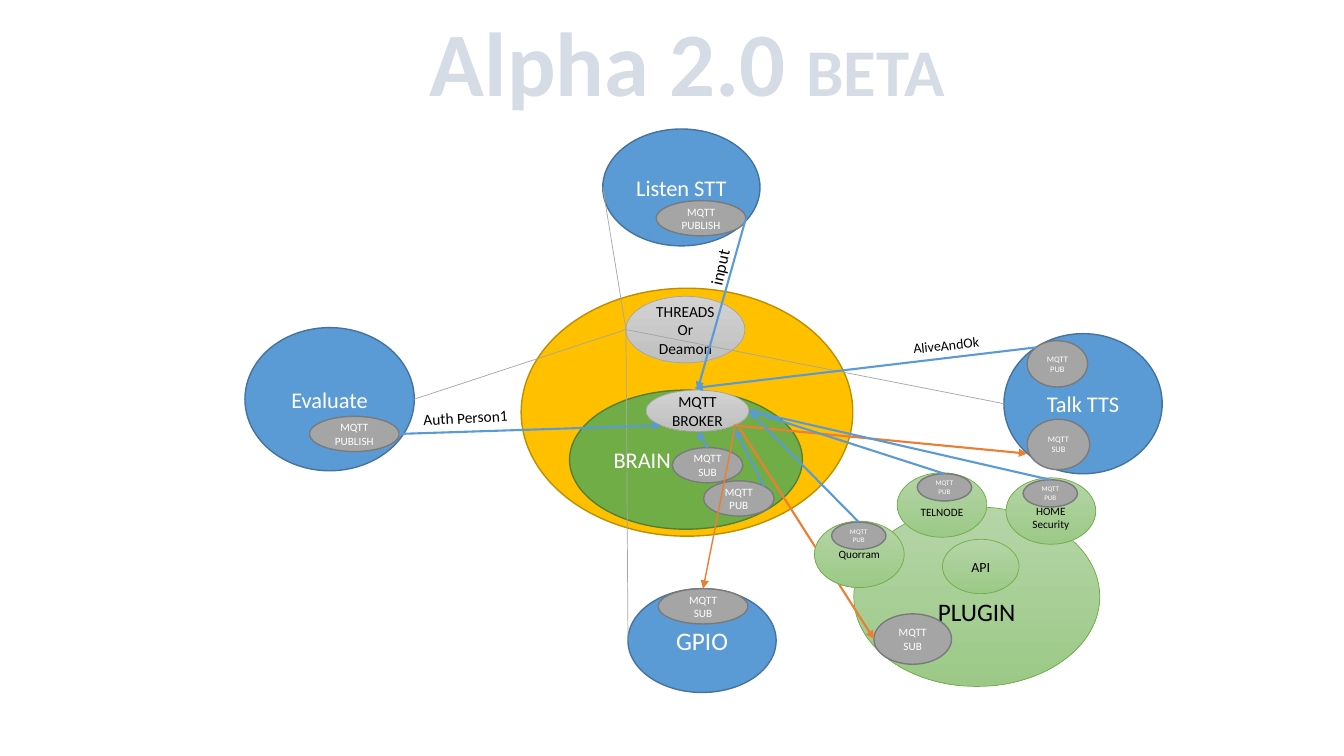
from dataclasses import dataclass

from lxml import etree
from pptx import Presentation
from pptx import util as u
from pptx.dml.color import RGBColor
from pptx.enum import shapes, text
from pptx.oxml import ns

CELL = 0.1  # grid cell in inches: 133.3 columns by 75 rows


@dataclass(frozen=True)
class Theme:
    font: str = "Calibri"
    title: str = "D6DCE5"
    dark: str = "000000"
    light: str = "FFFFFF"
    blue: str = "5B9BD5"
    grey: str = "A5A5A5"
    orange: str = "ED7D31"
    huge: float = 64.8
    large: float = 47.7
    big: int = 18
    head: int = 16
    label: int = 12
    body: int = 11
    note: int = 10
    small: int = 8
    mini: int = 6
    tiny: int = 5


T = Theme()

# Style: fill (a pair is a gradient), line colour, line width, text colour
STYLE = {
    "core": ("FFC000", "BD8E00", 1, T.light),
    "unit": (T.blue, "43739E", 1, T.light),
    "brain": ("70AD47", "538035", 1, T.light),
    "hub": (("D2D2D2", "C0C0C0"), T.grey, 0.5, T.dark),
    "plug": (("B5D5A7", "9CC987"), "70AD47", 0.5, T.dark),
    "badge": (T.grey, "7A7A7A", 1, T.light),
}

# Node: style, box in grid cells, words, type size
BODIES = {
    "core": ("core", (51.7, 28.6, 32.9, 24.6), "", T.head),
    "listen": ("unit", (59.8, 12.8, 15.6, 11.6), "Listen STT", T.head),
    "talk": ("unit", (99.6, 33.1, 15.7, 13.9), "Talk TTS", T.head),
    "brain": ("brain", (56.5, 38.7, 23.1, 13.8), "BRAIN", T.head),
    "gpio": ("unit", (62.3, 58.4, 14.7, 10.3), "GPIO", T.big),
    "broker": ("hub", (64.1, 38.7, 10.2, 4.1), "MQTT BROKER", T.body),
    "eval": ("unit", (24.3, 32.5, 16.8, 14.2), "Evaluate", T.head),
    "plugin": ("plug", (84.7, 50.3, 24.4, 17.8), "PLUGIN", T.big),
    "tel": ("plug", (89, 46.9, 8.9, 6.4), "TELNODE", T.small),
    "api": ("plug", (93.5, 53.5, 7.6, 5.4), "API", T.note),
    "threads": ("hub", (62.1, 29.4, 11.8, 6.6), "THREADS\nOr\nDeamon", T.body),
}
BADGES = {
    "evalpub": ("badge", (30.7, 41.3, 8.9, 3.5), "MQTT PUBLISH", T.small),
    "hearpub": ("badge", (65.1, 19.9, 8.9, 3.5), "MQTT PUBLISH", T.small),
    "gpiosub": ("badge", (65.3, 58.4, 8.9, 3.5), "MQTT SUB", T.small),
    "brainsub": ("badge", (66.7, 44.4, 7, 3.5), "MQTT SUB", T.small),
    "brainpub": ("badge", (69.8, 47.7, 7, 3.5), "MQTT PUB", T.small),
    "plugsub": ("badge", (86.7, 60.9, 7.7, 5), "MQTT SUB", T.small),
    "talksub": ("badge", (101.9, 41.6, 6.2, 5), "MQTT SUB", T.mini),
    "talkpub": ("badge", (101.9, 33.8, 6, 4.6), "MQTT PUB", T.mini),
}
PLUGS = {
    "home": ("plug", (99.8, 47.4, 8.9, 6.6), "HOME\nSecurity", T.small),
    "quorram": ("plug", (80.8, 51.7, 8.9, 6.6), "Quorram", T.small),
    "telpub": ("badge", (91, 47, 5.4, 2.7), "MQTT PUB", T.tiny),
    "quopub": ("badge", (82.5, 51.8, 5.4, 2.7), "MQTT PUB", T.tiny),
    "homepub": ("badge", (101.5, 47.6, 5.4, 2.7), "MQTT PUB", T.tiny),
}
NODES = {**BODIES, **BADGES, **PLUGS}
LOWER = ("plugin", "tel", "home")  # words sit one line lower

# Points on a node, as shares of its half width and half height
TOP, LEFT, BASE, RIGHT = (0, -1), (-1, 0), (0, 1), (1, 0)
NW, NE, SW, SE = (-0.71, -0.71), (0.71, -0.71), (-0.71, 0.71), (0.71, 0.71)

THREADS = [("listen", LEFT), ("eval", RIGHT), ("talk", LEFT), ("gpio", LEFT)]
# Broker out: point on broker, target, point on target, width
OUT = [
    ((0.73, 0.8), "gpiosub", TOP, 1),
    (SE, "talksub", (-1, 0.36), 1.5),
    ((0.82, 0.85), "plugsub", LEFT, 1.5),
]
# Broker in: source, point on source, point on broker
INTO = [
    ("hearpub", RIGHT, TOP),
    ("evalpub", RIGHT, SW),
    ("brainsub", TOP, BASE),
    ("quopub", TOP, RIGHT),
    ("telpub", TOP, RIGHT),
    ("homepub", TOP, RIGHT),
    ("brainpub", NE, (0.73, 0.9)),
    ("talkpub", NW, (-0.06, -1.1)),
]
# Label: words, box, turn, type size
LABELS = [
    ("AliveAndOk", (89.6, 32.9, 8.6, 2.7), 354.3, T.note),
    ("input", (68.6, 25, 5.6, 3), 282.4, T.label),
    ("Auth Person1", (41, 40, 10.5, 2.9), 356.8, T.body),
]


def grid(*cells):
    return [u.Inches(c * CELL) for c in cells]


def rgb(code):
    return RGBColor.from_string(code)


def write(para, words, size, color, bold=False, align=text.PP_ALIGN.CENTER):
    para.alignment = align
    run = para.add_run()
    run.text = words
    font = run.font
    font.name, font.size, font.bold = T.font, u.Pt(size), bold
    font.color.rgb = rgb(color)


def paint(fill, tone):
    if isinstance(tone, str):
        fill.solid()
        fill.fore_color.rgb = rgb(tone)
        return
    fill.gradient()
    fill.gradient_angle = 270
    for stop, code in zip(fill.gradient_stops, tone):
        stop.color.rgb = rgb(code)


def node(slide, name):
    kind, box, words, size = NODES[name]
    tone, edge, width, ink = STYLE[kind]
    oval = slide.shapes.add_shape(shapes.MSO_SHAPE.OVAL, *grid(*box))
    oval.shadow.inherit = False
    paint(oval.fill, tone)
    oval.line.color.rgb = rgb(edge)
    oval.line.width = u.Pt(width)
    if not words:
        return
    frame = oval.text_frame
    frame.word_wrap = True
    frame.vertical_anchor = text.MSO_ANCHOR.MIDDLE
    if name in LOWER:
        frame.margin_top += u.Pt(size * 1.2)
    align = text.PP_ALIGN.LEFT if name == "brain" else text.PP_ALIGN.CENTER
    for i, line in enumerate(words.split("\n")):
        para = frame.add_paragraph() if i else frame.paragraphs[0]
        write(para, line, size, ink, align=align)


def spot(name, side):
    x, y, w, h = NODES[name][1]
    return grid(x + w / 2 * (1 + side[0]), y + h / 2 * (1 + side[1]))


def link(slide, start, end, color, width, arrow=True):
    line = slide.shapes.add_connector(
        shapes.MSO_CONNECTOR.STRAIGHT, *spot(*start), *spot(*end))
    line.line.color.rgb = rgb(color)
    line.line.width = u.Pt(width)
    if arrow:
        stroke = line.line._get_or_add_ln()
        etree.SubElement(stroke, ns.qn("a:tailEnd"), type="triangle")
    etree.SubElement(line._element.spPr, ns.qn("a:effectLst"))


def label(slide, words, box, turn, size):
    area = slide.shapes.add_textbox(*grid(*box))
    area.rotation = turn
    frame = area.text_frame
    frame.word_wrap = False
    frame.auto_size = text.MSO_AUTO_SIZE.SHAPE_TO_FIT_TEXT
    write(frame.paragraphs[0], words, size, T.dark, align=text.PP_ALIGN.LEFT)


def title(slide):
    frame = slide.shapes.add_textbox(*grid(18.2, 3.2, 100, 8.8)).text_frame
    frame.word_wrap = True
    frame.vertical_anchor = text.MSO_ANCHOR.BOTTOM
    para = frame.paragraphs[0]
    para.line_spacing = 0.9
    write(para, "Alpha 2.0 ", T.huge, T.title, bold=True)
    write(para, "BETA", T.large, T.title, bold=True)


def main():
    deck = Presentation()
    deck.slide_width, deck.slide_height = grid(133.33, 75)
    slide = deck.slides.add_slide(deck.slide_layouts[6])
    title(slide)
    # Main bodies and their threads
    for name in BODIES:
        node(slide, name)
    for end in THREADS:
        link(slide, ("threads", LEFT), end, T.grey, 0.5, arrow=False)
    # Message clients, with the broker's outgoing links under the plug-ins
    for name in BADGES:
        node(slide, name)
    for side, name, goal, width in OUT:
        link(slide, ("broker", side), (name, goal), T.orange, width)
    for name in PLUGS:
        node(slide, name)
    # Links into the broker and their labels
    for name, side, goal in INTO:
        link(slide, (name, side), ("broker", goal), T.blue, 1.5)
    for item in LABELS:
        label(slide, *item)
    deck.save("out.pptx")


if __name__ == "__main__":
    main()
